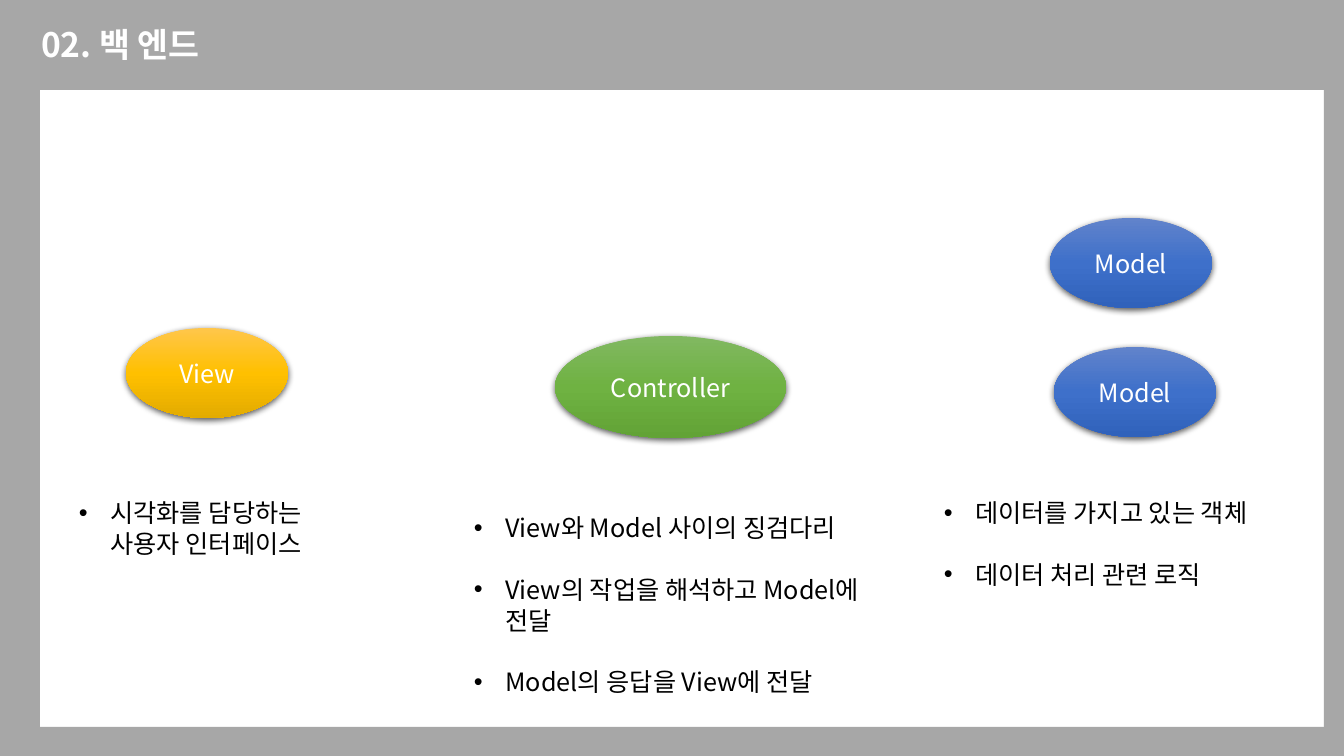
import copy

import lxml.etree
import pptx
import pptx.dml.color
import pptx.enum.shapes
import pptx.enum.text
import pptx.oxml.ns
import pptx.util

SCALE = 914400 / 100.8
WIDE, HIGH = 1344, 756
FONT = "Noto Sans CJK KR"
INK = {
    "frame": "A7A7A7",
    "white": "FFFFFF",
    "black": "000000",
    "view": ("FFC64B", "FFC000", "E3AB00"),
    "control": ("81B861", "6FB242", "62A336"),
    "model": ("6183CB", "3E70CA", "3062BB"),
}
SHAPE = pptx.enum.shapes.MSO_SHAPE
ALIGN = pptx.enum.text.PP_ALIGN
MIDDLE = pptx.enum.text.MSO_ANCHOR.MIDDLE
qn = pptx.oxml.ns.qn


def px(*sizes):
    """Turn pixel lengths into EMU."""
    return [pptx.util.Emu(round(size * SCALE)) for size in sizes]


def rgb(code):
    """Turn a hex string into a colour."""
    return pptx.dml.color.RGBColor.from_string(code)


def add_run(para, text, size, code, bold=False):
    """Add one formatted run in the slide's font."""
    run = para.add_run()
    run.text = text
    run.font.size = pptx.util.Pt(size)
    run.font.bold = bold
    run.font.name = FONT
    run.font.color.rgb = rgb(code)
    east = lxml.etree.SubElement(run.font._element, qn("a:ea"))
    east.set("typeface", FONT)


def add_frame(slide, box, top, right, low, left):
    """Put grey bars along the four edges of the box."""
    x, y, w, h = box
    inset = 15
    tall = h - 2 * inset
    bars = [
        (x, y, w, top),
        (x, y + h - low, w, low),
        (x, y + inset, left, tall),
        (x + w - right, y + inset, right, tall),
    ]
    for bar in bars:
        shape = slide.shapes.add_shape(SHAPE.RECTANGLE, *px(*bar))
        shape.shadow.inherit = False
        shape.fill.solid()
        shape.fill.fore_color.rgb = rgb(INK["frame"])
        shape.line.fill.background()


def set_title(slide, box, text):
    """Place the title in front of the frame."""
    title = slide.shapes.title
    title.left, title.top, title.width, title.height = px(*box)
    title.element.getparent().append(title.element)
    frame = title.text_frame
    frame.word_wrap = False
    frame.vertical_anchor = MIDDLE
    para = frame.paragraphs[0]
    para.alignment = ALIGN.LEFT
    add_run(para, text, 24, INK["white"], True)


def add_glow(shape):
    """Give a shape a soft shadow below it."""
    shape.shadow.inherit = False
    effects = shape.element.spPr.find(qn("a:effectLst"))
    shade = lxml.etree.SubElement(effects, qn("a:outerShdw"))
    for key, value in (("blurRad", 57150), ("dist", 19050), ("dir", 5400000),
                       ("algn", "ctr"), ("rotWithShape", 0)):
        shade.set(key, str(value))
    tint = lxml.etree.SubElement(shade, qn("a:srgbClr"))
    tint.set("val", INK["black"])
    lxml.etree.SubElement(tint, qn("a:alpha")).set("val", "63000")


def add_oval(slide, box, text, codes):
    """Add a labelled oval with a three-stop gradient."""
    oval = slide.shapes.add_shape(SHAPE.OVAL, *px(*box))
    oval.line.fill.background()
    oval.fill.gradient()
    oval.fill.gradient_angle = 270
    stops = oval.element.spPr.find(".//" + qn("a:gsLst"))
    stops.append(copy.deepcopy(stops[0]))
    for rank, (stop, code) in enumerate(zip(oval.fill.gradient_stops, codes)):
        stop.position = rank / 2
        stop.color.rgb = rgb(code)
    add_glow(oval)
    frame = oval.text_frame
    frame.vertical_anchor = MIDDLE
    para = frame.paragraphs[0]
    para.alignment = ALIGN.CENTER
    add_run(para, text, 18, INK["white"])


def add_list(slide, box, items):
    """Add a bulleted list with one line of space between items."""
    frame = slide.shapes.add_textbox(*px(*box)).text_frame
    frame.word_wrap = True
    for rank, item in enumerate(items):
        para = frame.add_paragraph() if rank else frame.paragraphs[0]
        para.line_spacing = pptx.util.Pt(22)
        if rank:
            para.space_before = pptx.util.Pt(22)
        props = para._p.get_or_add_pPr()
        props.set("marL", "285750")
        props.set("indent", "-285750")
        lxml.etree.SubElement(props, qn("a:buFont")).set("typeface", "Arial")
        lxml.etree.SubElement(props, qn("a:buChar")).set("char", "•")
        add_run(para, item, 18, INK["black"])


def add_part(slide, box, name, tone, ovals, drop, items):
    """Add a part's ovals, offset within its box, and its list below."""
    x, y, w, h = box
    for dx, dy, wide, high in ovals:
        add_oval(slide, (x + dx, y + dy, wide, high), name, INK[tone])
    add_list(slide, (x, y + drop, w, h - drop), items)


def main():
    """Build and save the slide."""
    deck = pptx.Presentation()
    deck.slide_width, deck.slide_height = px(WIDE, HIGH)
    slide = deck.slides.add_slide(deck.slide_layouts[5])
    add_frame(slide, (0, 0, WIDE, HIGH), 90, 20, 29, 40)
    set_title(slide, (31, 19, 195, 50), "02. 백 엔드")
    add_part(slide, (69, 328, 281, 236), "View", "view",
             [(57, 0, 162, 90)], 164, ["시각화를 담당하는 사용자 인터페이스"])
    add_part(slide, (464, 336, 444, 365), "Controller", "control",
             [(91, 0, 231, 102)], 171,
             ["View와 Model 사이의 징검다리",
              "View의 작업을 해석하고 Model에 전달",
              "Model의 응답을 View에 전달"])
    add_part(slide, (934, 218, 407, 376), "Model", "model",
             [(116, 0, 162, 90), (120, 129, 162, 90)], 274,
             ["데이터를 가지고 있는 객체", "데이터 처리 관련 로직"])
    deck.save("out.pptx")


if __name__ == "__main__":
    main()
